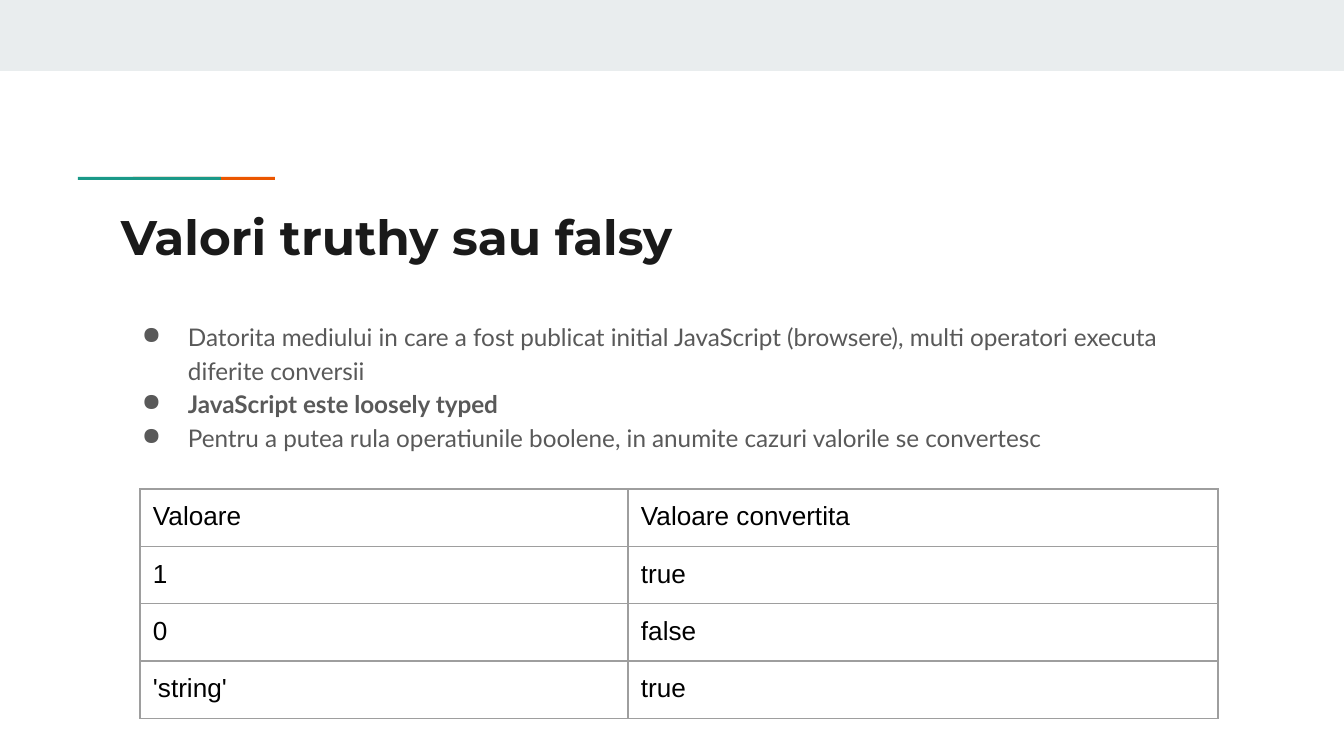
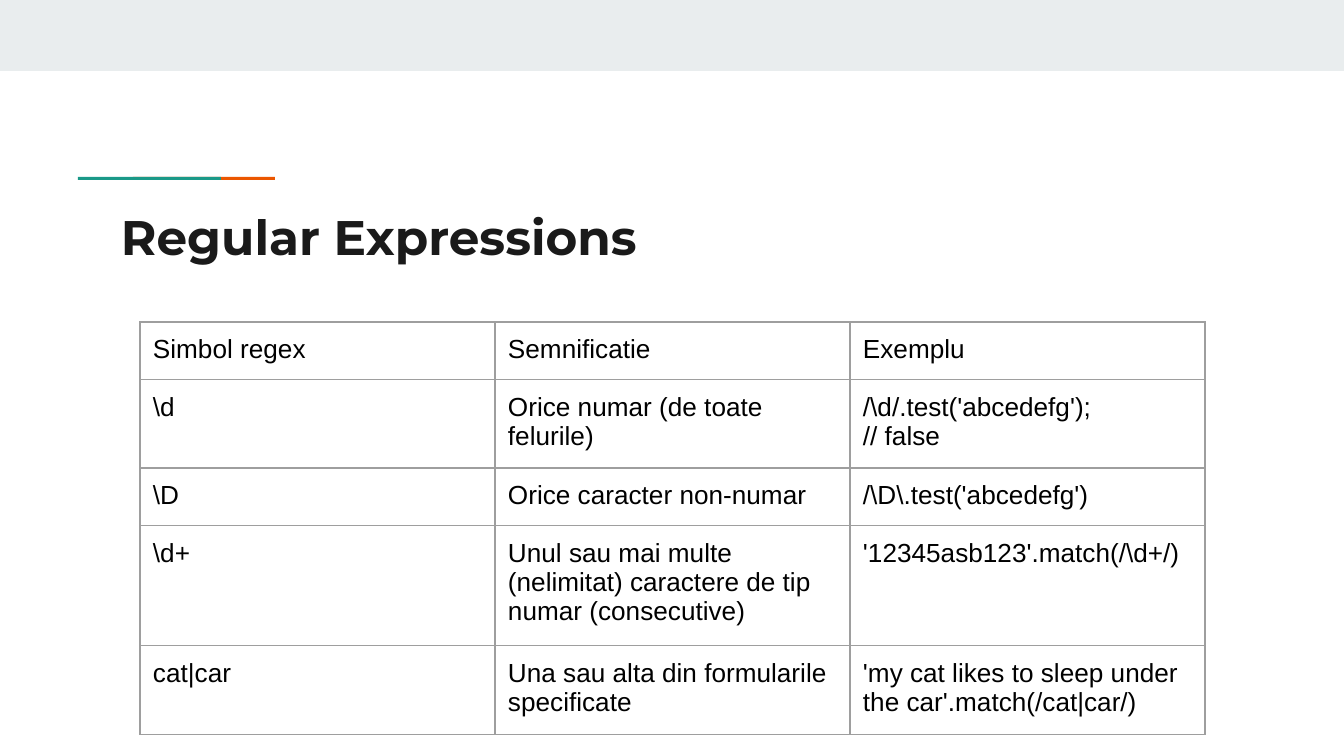
from dataclasses import dataclass

from lxml.etree import SubElement
from pptx import Presentation
from pptx.dml.color import RGBColor
from pptx.enum.shapes import MSO_SHAPE
from pptx.oxml.ns import qn
from pptx.slide import Slide
from pptx.text.text import TextFrame
from pptx.util import Emu, Pt

EMU_PER_PIXEL = 914400 / 134.4
SLIDE_WIDTH, SLIDE_HEIGHT = 1344, 756


@dataclass(frozen=True)
class Theme:
    """Colours, fonts and sizes shared by the slides."""
    band: str = "E9EDEE"
    teal: str = "1A9988"
    orange: str = "EB5600"
    heading: str = "1A1A1A"
    body: str = "595959"
    cell: str = "000000"
    border: str = "9E9E9E"
    heading_font: str = "Montserrat"
    body_font: str = "Lato"
    cell_font: str = "Arial"
    heading_size: int = 26
    body_size: int = 13
    cell_size: int = 14
    border_width: float = 0.75
    inset: int = 13


@dataclass(frozen=True)
class Box:
    """A rectangle in pixels."""
    left: int
    top: int
    width: int
    height: int

    def emu(self) -> tuple[Emu, Emu, Emu, Emu]:
        """Return the position and size as EMU."""
        return px(self.left), px(self.top), px(self.width), px(self.height)


@dataclass(frozen=True)
class Bullet:
    """One line of the bulleted list."""
    text: str
    bold: bool = False


@dataclass(frozen=True)
class Grid:
    """A bordered table; a line break in a cell starts a paragraph."""
    top: int
    column_widths: tuple[int, ...]
    row_heights: tuple[int, ...]
    rows: tuple[tuple[str, ...], ...]


@dataclass(frozen=True)
class Lesson:
    """The content of one slide."""
    title: str
    grid: Grid
    bullets: tuple[Bullet, ...] = ()


THEME = Theme()
BAND = Box(0, 0, SLIDE_WIDTH, 71)
ORANGE_RULE = Box(133, 177, 142, 3)
TEAL_RULE = Box(78, 177, 143, 3)
TITLE = Box(108, 194, 1130, 79)
BODY = Box(108, 305, 1130, 169)
GRID_LEFT = 140
BULLET_INDENT, BULLET_HANG = 67, 46

LESSONS = (
    Lesson(
        title="Valori truthy sau falsy",
        bullets=(
            Bullet("Datorita mediului in care a fost publicat initial JavaScript "
                   "(browsere), multi operatori executa diferite conversii"),
            Bullet("JavaScript este loosely typed", bold=True),
            Bullet("Pentru a putea rula operatiunile boolene, in anumite cazuri "
                   "valorile se convertesc"),
        ),
        grid=Grid(
            top=489,
            column_widths=(488, 590),
            row_heights=(56,) * 4,
            rows=(
                ("Valoare", "Valoare convertita"),
                ("1", "true"),
                ("0", "false"),
                ("'string'", "true"),
            ),
        ),
    ),
    Lesson(
        title="Regular Expressions",
        grid=Grid(
            top=322,
            column_widths=(355,) * 3,
            row_heights=(56, 85, 56, 115, 85),
            rows=(
                ("Simbol regex", "Semnificatie", "Exemplu"),
                (r"\d", "Orice numar (de toate felurile)",
                 "/\\d/.test('abcedefg');\n// false"),
                (r"\D", "Orice caracter non-numar", r"/\D\.test('abcedefg')"),
                (r"\d+", "Unul sau mai multe (nelimitat) caractere de tip numar "
                 "(consecutive)", r"'12345asb123'.match(/\d+/)"),
                ("cat|car", "Una sau alta din formularile specificate",
                 "'my cat likes to sleep under the car'.match(/cat|car/)"),
            ),
        ),
    ),
)


def px(pixels: float) -> Emu:
    """Turn pixels into EMU."""
    return Emu(round(pixels * EMU_PER_PIXEL))


def add_bar(slide: Slide, box: Box, color: str) -> None:
    """Draw a plain filled rectangle."""
    bar = slide.shapes.add_shape(MSO_SHAPE.RECTANGLE, *box.emu())
    bar.shadow.inherit = False
    bar.fill.solid()
    bar.fill.fore_color.rgb = RGBColor.from_string(color)
    bar.line.fill.background()


def write(frame: TextFrame, text: str, *, font: str, size: int, color: str,
          bold: bool = False, spacing: float = 1.0, bulleted: bool = False,
          follow: bool = False) -> None:
    """Write paragraphs, after the existing ones if follow is set."""
    for index, line in enumerate(text.split("\n")):
        new = follow or index > 0
        paragraph = frame.add_paragraph() if new else frame.paragraphs[0]
        paragraph.line_spacing = spacing
        run = paragraph.add_run()
        run.text = line
        run.font.name = font
        run.font.size = Pt(size)
        run.font.bold = bold
        run.font.color.rgb = RGBColor.from_string(color)
        if bulleted:
            properties = paragraph._p.get_or_add_pPr()
            properties.set("marL", str(px(BULLET_INDENT)))
            properties.set("indent", str(-px(BULLET_HANG)))
            bullet_color = SubElement(properties, qn("a:buClr"))
            SubElement(bullet_color, qn("a:srgbClr"), val=color)
            SubElement(properties, qn("a:buChar"), char="●")


def add_frame(slide: Slide, box: Box) -> TextFrame:
    """Add a wrapping text box with the shared insets."""
    frame = slide.shapes.add_textbox(*box.emu()).text_frame
    frame.word_wrap = True
    frame.margin_left = frame.margin_right = px(THEME.inset)
    frame.margin_top = frame.margin_bottom = px(THEME.inset)
    return frame


def add_bullets(slide: Slide, bullets: tuple[Bullet, ...]) -> None:
    """Write the bulleted list under the title."""
    frame = add_frame(slide, BODY)
    for index, bullet in enumerate(bullets):
        write(frame, bullet.text, font=THEME.body_font, size=THEME.body_size,
              color=THEME.body, bold=bullet.bold, spacing=1.15,
              bulleted=True, follow=index > 0)


def add_grid(slide: Slide, grid: Grid) -> None:
    """Draw the bordered, unfilled table."""
    box = Box(GRID_LEFT, grid.top, sum(grid.column_widths), sum(grid.row_heights))
    table = slide.shapes.add_table(
        len(grid.rows), len(grid.column_widths), *box.emu()).table
    table.first_row = table.horz_banding = False
    for column, width in zip(table.columns, grid.column_widths):
        column.width = px(width)
    for row, height, texts in zip(table.rows, grid.row_heights, grid.rows):
        row.height = px(height)
        for cell, text in zip(row.cells, texts):
            cell.margin_left = cell.margin_right = px(THEME.inset)
            cell.margin_top = cell.margin_bottom = px(THEME.inset)
            properties = cell._tc.get_or_add_tcPr()
            for side in ("lnL", "lnR", "lnT", "lnB"):
                edge = SubElement(properties, qn(f"a:{side}"),
                                  w=str(Pt(THEME.border_width)))
                fill = SubElement(edge, qn("a:solidFill"))
                SubElement(fill, qn("a:srgbClr"), val=THEME.border)
            cell.fill.background()
            write(cell.text_frame, text, font=THEME.cell_font,
                  size=THEME.cell_size, color=THEME.cell)


def add_lesson(deck: Presentation, lesson: Lesson) -> None:
    """Build one slide: band, accent rule, title, list and table."""
    slide = deck.slides.add_slide(deck.slide_layouts[6])
    add_bar(slide, BAND, THEME.band)
    add_bar(slide, ORANGE_RULE, THEME.orange)
    add_bar(slide, TEAL_RULE, THEME.teal)
    write(add_frame(slide, TITLE), lesson.title, font=THEME.heading_font,
          size=THEME.heading_size, color=THEME.heading, bold=True)
    if lesson.bullets:
        add_bullets(slide, lesson.bullets)
    add_grid(slide, lesson.grid)


def main() -> None:
    """Build and save the deck."""
    deck = Presentation()
    deck.slide_width, deck.slide_height = px(SLIDE_WIDTH), px(SLIDE_HEIGHT)
    for lesson in LESSONS:
        add_lesson(deck, lesson)
    deck.save("out.pptx")


main()
